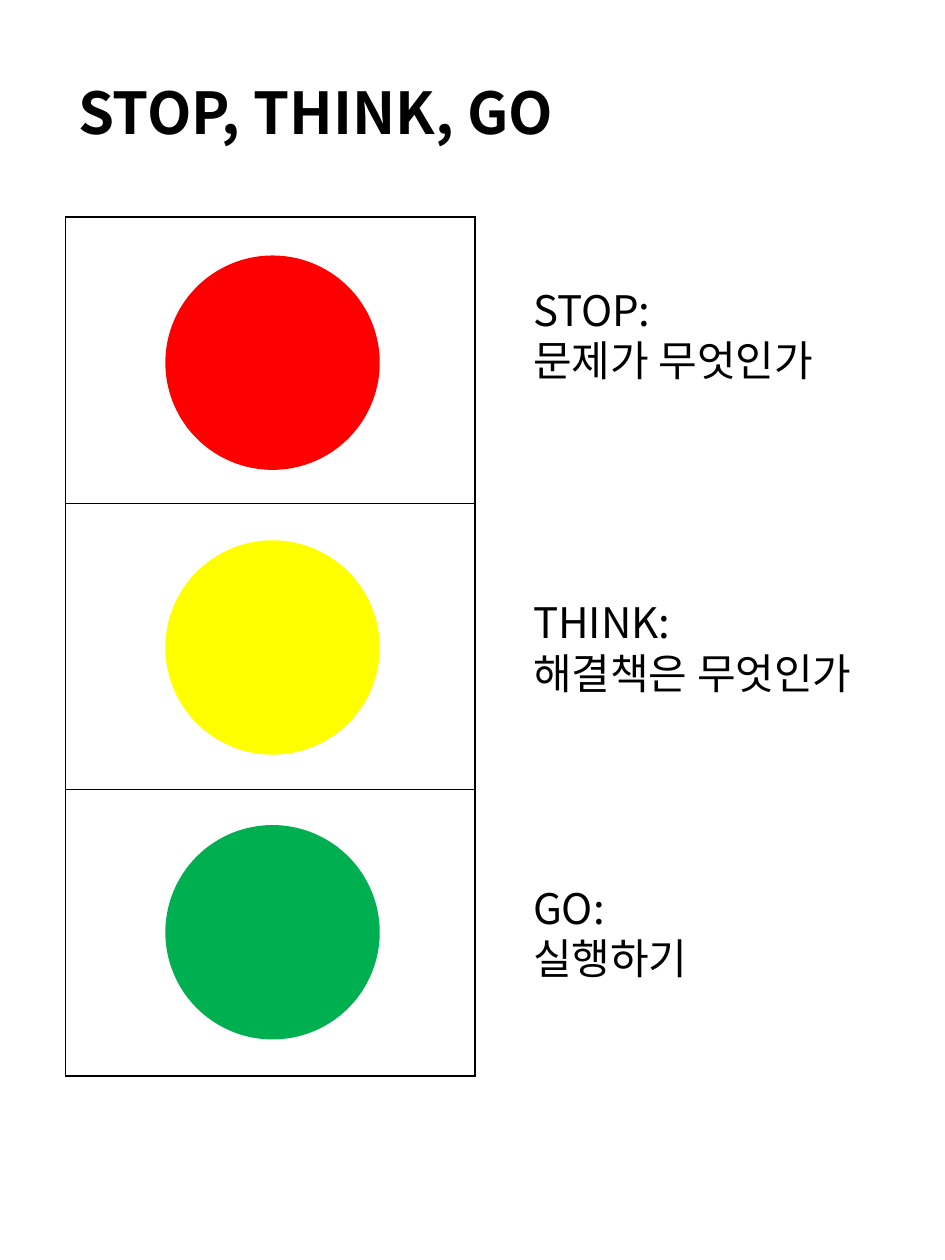
from lxml.etree import SubElement
from pptx import Presentation
from pptx.dml.color import RGBColor
from pptx.enum.shapes import MSO_SHAPE
from pptx.enum.text import MSO_ANCHOR, MSO_AUTO_SIZE, PP_ALIGN
from pptx.oxml.ns import qn
from pptx.util import Pt


def color(value):
    """Turn a hex string into a colour."""
    return RGBColor.from_string(value)


def write(frame, text, *, size, font, ink, bold=False, spacing=None):
    """Fill a text frame with one formatted paragraph per line of text."""
    for index, line in enumerate(text.split("\n")):
        paragraph = frame.paragraphs[0] if index == 0 else frame.add_paragraph()
        paragraph.alignment = PP_ALIGN.LEFT
        if spacing:
            paragraph.line_spacing = spacing
        run = paragraph.add_run()
        run.text = line
        run.font.name = font
        run.font.size = Pt(size)
        run.font.bold = bold
        run.font.color.rgb = color(ink)
        SubElement(run._r.get_or_add_rPr(), qn("a:ea"), typeface=font)


class Poster:
    """Hold the style and the current slide."""

    font = "Noto Sans CJK KR"
    ink = "000000"

    def __init__(self, slide):
        """Keep the slide to draw on."""
        self.slide = slide

    def title(self, text, left, top, width, height):
        """Place and fill the title placeholder."""
        shape = self.slide.shapes.title
        shape.left, shape.top = Pt(left), Pt(top)
        shape.width, shape.height = Pt(width), Pt(height)
        frame = shape.text_frame
        frame.auto_size = MSO_AUTO_SIZE.NONE
        frame.vertical_anchor = MSO_ANCHOR.MIDDLE
        write(frame, text, size=33, font=self.font, ink=self.ink, bold=True, spacing=0.9)

    def housing(self, rows, left, top, width, height):
        """Add the bordered one-column table around the lights."""
        table = self.slide.shapes.add_table(
            rows, 1, Pt(left), Pt(top), Pt(width), Pt(height)).table
        table.first_row = table.horz_banding = False
        for cell in table.iter_cells():
            properties = cell._tc.get_or_add_tcPr()
            for side in ("lnL", "lnR", "lnT", "lnB"):
                border = SubElement(properties, qn(f"a:{side}"), w=str(Pt(1)))
                fill = SubElement(border, qn("a:solidFill"))
                SubElement(fill, qn("a:srgbClr"), val=self.ink)
            cell.fill.background()

    def light(self, fill, left, top, diameter):
        """Add one round traffic light."""
        shape = self.slide.shapes.add_shape(
            MSO_SHAPE.OVAL, Pt(left), Pt(top), Pt(diameter), Pt(diameter))
        shape.shadow.inherit = False
        shape.fill.solid()
        shape.fill.fore_color.rgb = color(fill)
        shape.line.fill.background()

    def label(self, text, left, top, width, height):
        """Add the caption beside a light."""
        frame = self.slide.shapes.add_textbox(
            Pt(left), Pt(top), Pt(width), Pt(height)).text_frame
        frame.word_wrap = True
        frame.auto_size = MSO_AUTO_SIZE.SHAPE_TO_FIT_TEXT
        write(frame, text, size=24, font=self.font, ink=self.ink)


def main():
    """Build the traffic light slide."""
    presentation = Presentation()
    presentation.slide_width, presentation.slide_height = Pt(540), Pt(720)
    poster = Poster(presentation.slides.add_slide(presentation.slide_layouts[5]))
    steps = [
        ("FF0000", "STOP:\n문제가 무엇인가", 159),
        ("FFFF00", "THINK:\n해결책은 무엇인가", 337.5),
        ("00B050", "GO:\n실행하기", 500.5),
    ]
    poster.title("STOP, THINK, GO", 37.5, 38, 466, 56)
    poster.housing(len(steps), 37.5, 124, 234, 491)
    for index, (fill, text, label_top) in enumerate(steps):
        poster.light(fill, 94.5, 146 + index * 162.75, 122.5)
        poster.label(text, 297.5, label_top, 214, 65.5)
    presentation.save("out.pptx")


if __name__ == "__main__":
    main()
